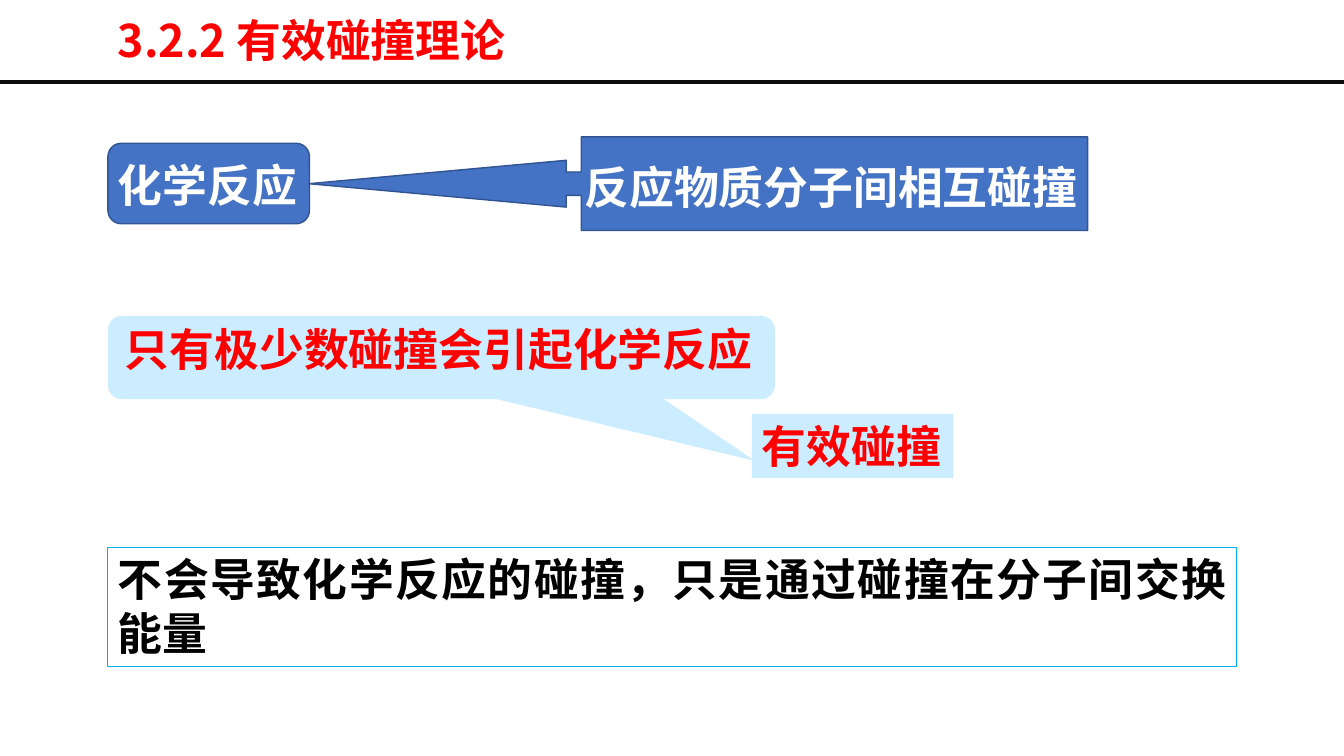
from lxml.etree import SubElement
from pptx import Presentation
from pptx.dml.color import RGBColor
from pptx.enum.shapes import MSO_CONNECTOR, MSO_SHAPE
from pptx.enum.text import MSO_ANCHOR, PP_ALIGN
from pptx.oxml.ns import qn
from pptx.util import Cm, Pt

# Theme
THEME = {
    "white": "FFFFFF", "red": "FF0000", "black": "000000", "rule": "0D0D0D",
    "blue": "4472C4", "edge": "325491", "pale": "CCECFF", "cyan": "00B0F0",
    "size": 32, "sans": "Noto Sans CJK SC", "serif": "Times New Roman",
}

# Content: lengths in cm, boxes as left, top, width, height
WIDE, HIGH = 33.87, 19.05
LEFT = 2.72
RULE = 2.06
TITLE = ("3.2.2 有效碰撞理论", (LEFT, 0.33, 23.44, 1.52))

# preset, box, adjustments, fill, line, line width
SHAPES = [
    (MSO_SHAPE.FLOWCHART_ALTERNATE_PROCESS, (LEFT, 3.61, 5.08, 2.03), (),
     "blue", "edge", 1),
    (MSO_SHAPE.LEFT_ARROW_CALLOUT, (7.78, 3.45, 19.63, 2.36),
     (0.25, 0.25, 2.75, 0.65), "blue", "edge", 1),
    (MSO_SHAPE.ROUNDED_RECTANGULAR_CALLOUT, (LEFT, 7.96, 16.81, 2.1),
     (0.47, 1.24, 0.17), "pale", None, 0),
    (MSO_SHAPE.RECTANGLE, (18.95, 10.43, 5.08, 1.62), (), "pale", None, 0),
    (MSO_SHAPE.RECTANGLE, (LEFT, 13.79, 28.45, 3), (), None, "cyan", 0.75),
]

# text, box, colour, wrap, alignment
LABELS = [
    ("化学反应", (LEFT, 3.86, 5.08, 1.62), "white", False, PP_ALIGN.LEFT),
    ("反应物质分子间相互碰撞", (14.48, 3.89, 13.06, 1.62), "white", False,
     PP_ALIGN.LEFT),
    ("只有极少数碰撞会引起化学反应", (2.9, 7.98, 16.46, 1.62), "red", False,
     PP_ALIGN.LEFT),
]
# Text held by the last two shapes
INSIDE = {
    3: ("有效碰撞", "red", False, PP_ALIGN.LEFT),
    4: ("不会导致化学反应的碰撞，只是通过碰撞在分子间交换能量", "black", True,
        PP_ALIGN.JUSTIFY),
}


def tint(name):
    return RGBColor.from_string(THEME[name])


def place(box):
    return [Cm(n) for n in box]


def write(shape, text, hue, wrap, align, face="serif", anchor=MSO_ANCHOR.TOP):
    frame = shape.text_frame
    frame.word_wrap = wrap
    frame.vertical_anchor = anchor
    para = frame.paragraphs[0]
    para.text = text
    para.alignment = align
    font = para.font
    font.size, font.bold = Pt(THEME["size"]), True
    font.color.rgb = tint(hue)
    font.name = THEME[face]
    # East Asian typeface
    props = para._p.pPr.find(qn("a:defRPr"))
    SubElement(props, qn("a:ea")).set("typeface", THEME["sans"])
    return para


def draw(slide, kind, box, adjust, fill, line, width):
    shape = slide.shapes.add_shape(kind, *place(box))
    shape.shadow.inherit = False
    for i, value in enumerate(adjust):
        shape.adjustments[i] = value
    if fill:
        shape.fill.solid()
        shape.fill.fore_color.rgb = tint(fill)
    else:
        shape.fill.background()
    if line:
        shape.line.color.rgb = tint(line)
        shape.line.width = Pt(width)
    else:
        shape.line.fill.background()
    return shape


def main():
    deck = Presentation()
    deck.slide_width, deck.slide_height = Cm(WIDE), Cm(HIGH)
    slide = deck.slides.add_slide(deck.slide_layouts[6])

    # Heading and rule
    rule = slide.shapes.add_connector(
        MSO_CONNECTOR.STRAIGHT, 0, Cm(RULE), Cm(WIDE), Cm(RULE))
    rule.line.color.rgb = tint("rule")
    rule.line.width = Pt(3)
    SubElement(rule._element.spPr, qn("a:effectLst"))
    text, box = TITLE
    head = slide.shapes.add_textbox(*place(box))
    para = write(head, text, "red", True, PP_ALIGN.LEFT, "sans",
                 MSO_ANCHOR.MIDDLE)
    para.line_spacing = 0.9

    # Shapes, two of them with their own text
    for i, item in enumerate(SHAPES):
        shape = draw(slide, *item)
        if i in INSIDE:
            write(shape, *INSIDE[i])

    # Labels over the other shapes
    for text, box, *style in LABELS:
        write(slide.shapes.add_textbox(*place(box)), text, *style)

    deck.save("out.pptx")


if __name__ == "__main__":
    main()
